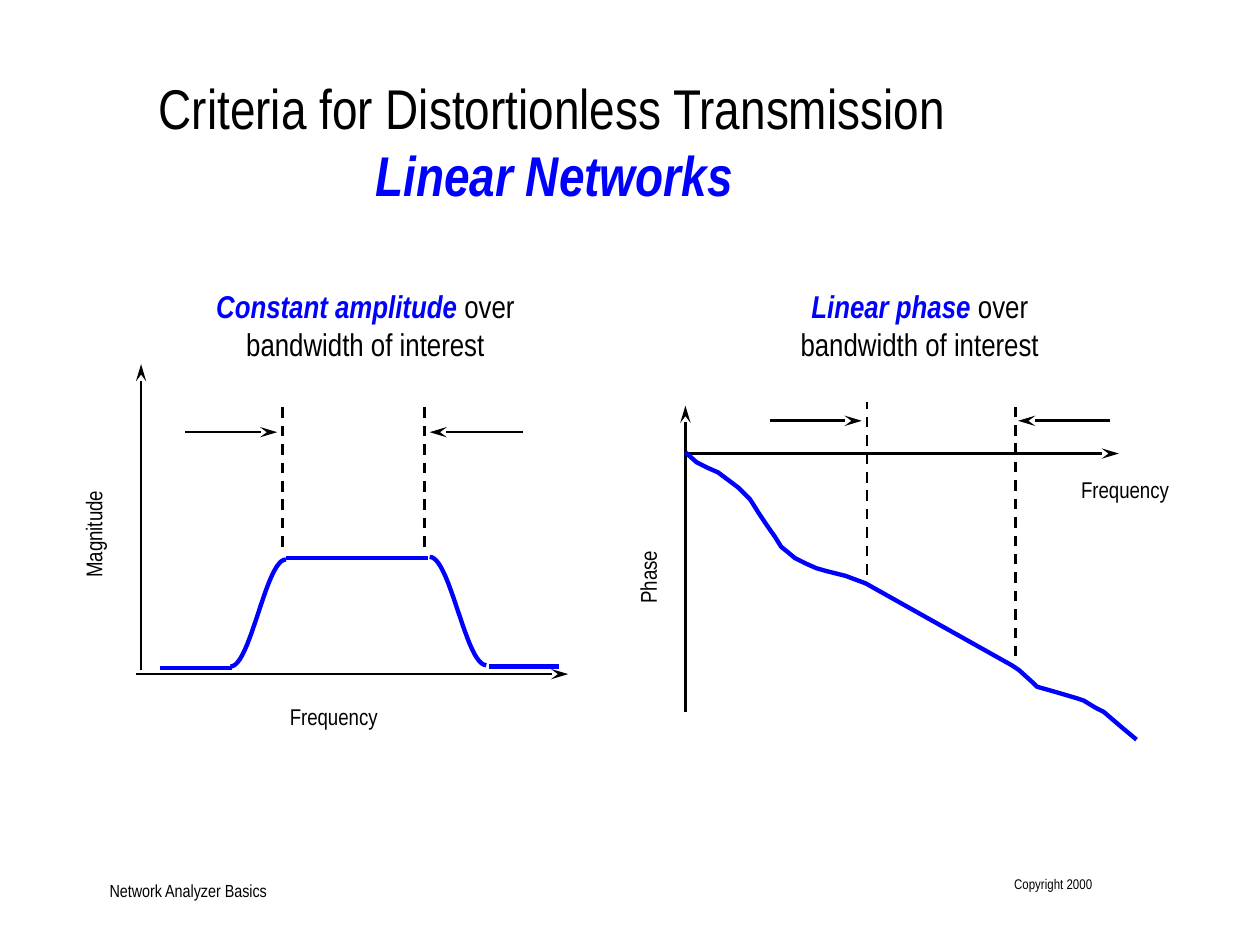
from math import cos, pi

from lxml.etree import SubElement
from pptx import Presentation
from pptx.dml.color import RGBColor
from pptx.enum.dml import MSO_LINE
from pptx.enum.shapes import MSO_CONNECTOR
from pptx.enum.text import MSO_ANCHOR, MSO_AUTO_SIZE, PP_ALIGN
from pptx.oxml.ns import qn
from pptx.util import Inches, Pt

BLACK = RGBColor(0, 0, 0)
BLUE = RGBColor(0, 0, 255)
FONT = "Arial Narrow"
PHASE_POINTS = [
    (0, 1.31), (0.09, 1.39), (0.17, 1.43), (0.26, 1.47), (0.34, 1.53), (0.42, 1.59),
    (0.51, 1.68), (0.53, 1.71), (0.58, 1.79), (0.64, 1.88), (0.71, 1.98), (0.76, 2.06),
    (0.81, 2.1), (0.87, 2.15), (0.95, 2.19), (1.04, 2.23), (1.11, 2.25), (1.27, 2.29),
    (1.43, 2.35), (2.59, 3), (2.65, 3.04), (2.76, 3.14), (2.79, 3.17), (2.93, 3.21),
    (3.1, 3.26), (3.16, 3.28), (3.26, 3.34), (3.32, 3.37), (3.46, 3.49), (3.58, 3.59),
]


def style_run(run, size, color=BLACK, emphasis=False):
    """Set the font of a run; emphasis means bold italic."""
    run.font.name, run.font.size = FONT, Pt(size)
    run.font.color.rgb = color
    run.font.bold = run.font.italic = emphasis


def clear_frame(frame, anchor):
    """Remove the margins of a text frame and set its wrapping and anchor."""
    frame.margin_left = frame.margin_right = frame.margin_top = frame.margin_bottom = 0
    frame.word_wrap, frame.auto_size = True, MSO_AUTO_SIZE.NONE
    frame.vertical_anchor = anchor


def add_text(page, left, top, width, height, spans, size,
             align=PP_ALIGN.LEFT, anchor=MSO_ANCHOR.TOP, rotation=0):
    """Add a one-paragraph text box from (text, color, emphasis) spans."""
    box = page.shapes.add_textbox(Inches(left), Inches(top), Inches(width), Inches(height))
    box.rotation = rotation
    clear_frame(box.text_frame, anchor)
    paragraph = box.text_frame.paragraphs[0]
    paragraph.alignment = align
    for text, color, emphasis in spans:
        span = paragraph.add_run()
        span.text = text
        style_run(span, size, color, emphasis)


def add_line(page, left, top, start, end, color=BLACK, width=1.5, dashed=False, arrow=False):
    """Add a straight line between two points measured from the box corner."""
    line = page.shapes.add_connector(
        MSO_CONNECTOR.STRAIGHT, Inches(left + start[0]), Inches(top + start[1]),
        Inches(left + end[0]), Inches(top + end[1]))
    line.line.color.rgb, line.line.width = color, Pt(width)
    if dashed:
        line.line.dash_style = MSO_LINE.DASH
    if arrow:
        SubElement(line.line._get_or_add_ln(), qn("a:tailEnd"), type="stealth", w="med", len="lg")
    SubElement(line._element.spPr, qn("a:effectLst"))


def add_curve(page, left, top, points):
    """Add an open blue curve through points measured from the box corner."""
    corners = [(Inches(x), Inches(y)) for x, y in points]
    builder = page.shapes.build_freeform(*corners[0])
    builder.add_line_segments(corners[1:], close=False)
    curve = builder.convert_to_shape(Inches(left), Inches(top))
    curve.fill.background()
    curve.line.color.rgb, curve.line.width = BLUE, Pt(2.5)
    curve.shadow.inherit = False


def half_wave(start, end, steps=24):
    """Return the points of a half cosine from start to end."""
    (x1, y1), (x2, y2) = start, end
    return [(x1 + (x2 - x1) * i / steps, y1 + (y2 - y1) * (1 - cos(pi * i / steps)) / 2)
            for i in range(steps + 1)]


def add_heading(page, left, top, width, emphasized):
    """Add the two-line heading above a plot."""
    spans = [(emphasized, BLUE, True), (" over bandwidth of interest", BLACK, False)]
    add_text(page, left, top, width, 0.6, spans, 18, PP_ALIGN.CENTER, MSO_ANCHOR.BOTTOM)


def add_axis_names(page, left, top, vertical_name, vertical_at, frequency_at):
    """Add the rotated vertical axis name and the frequency axis name."""
    add_text(page, left + vertical_at[0], top + vertical_at[1], 2.1, 0.24,
             [(vertical_name, BLACK, False)], 13, PP_ALIGN.CENTER, MSO_ANCHOR.BOTTOM, 270)
    add_text(page, left + frequency_at[0], top + frequency_at[1], 0.97, 0.24,
             [("Frequency", BLACK, False)], 13)


def add_band(page, left, top, limits, arrow_y, arrows):
    """Mark the bandwidth with dashed limits and two inward arrows."""
    for x, upper, lower in limits:
        add_line(page, left, top, (x, lower), (x, upper), dashed=True)
    for start, end in arrows:
        add_line(page, left, top, (start, arrow_y), (end, arrow_y), arrow=True)


def add_magnitude_plot(page, left, top):
    """Draw the constant amplitude plot."""
    add_heading(page, left + 0.19, top, 3.18, "Constant amplitude")
    add_line(page, left, top, (0, 3.04), (0, 0.61), arrow=True)
    add_line(page, left, top, (-0.04, 3.07), (3.39, 3.07), arrow=True)
    add_axis_names(page, left, top, "Magnitude", (-1.44, 1.84), (1.18, 3.3))
    add_band(page, left, top, [(1.12, 0.95, 2.06), (2.25, 0.95, 2.06)], 1.15,
             [(0.35, 1.08), (3.03, 2.29)])
    for start, end, y in [(0.15, 0.72, 3.02), (1.15, 2.28, 2.15), (2.76, 3.32, 3.01)]:
        add_line(page, left, top, (start, y), (end, y), BLUE, 2.5)
    add_curve(page, left, top, half_wave((0.71, 3.01), (1.15, 2.16)))
    add_curve(page, left, top, half_wave((2.29, 2.14), (2.74, 3)))


def add_phase_plot(page, left, top):
    """Draw the linear phase plot."""
    add_heading(page, left + 0.71, top, 2.3, "Linear phase")
    add_line(page, left, top, (0, 3.37), (0, 0.94), arrow=True)
    add_line(page, left, top, (0, 1.32), (3.44, 1.32), arrow=True)
    add_axis_names(page, left, top, "Phase", (-1.36, 2.18), (3.14, 1.5))
    add_band(page, left, top, [(1.44, 0.91, 2.28), (2.62, 0.92, 2.93)], 1.06,
             [(0.67, 1.4), (3.37, 2.64)])
    add_curve(page, left, top, PHASE_POINTS)


def add_title(page, left, top, width, height):
    """Place and format the two-line title."""
    title = page.shapes.title
    title.left, title.top = Inches(left), Inches(top)
    title.width, title.height = Inches(width), Inches(height)
    frame = title.text_frame
    clear_frame(frame, MSO_ANCHOR.TOP)
    frame.text = "Criteria for Distortionless Transmission\nLinear Networks"
    for paragraph, color, emphasis in zip(frame.paragraphs, (BLACK, BLUE), (False, True)):
        paragraph.alignment = PP_ALIGN.LEFT
        style_run(paragraph.runs[0], 32, color, emphasis)
    frame.paragraphs[1]._p.get_or_add_pPr().set("marL", str(Inches(1.72)))


def add_footer(page, left, top):
    """Add the course name and the copyright line."""
    add_text(page, left, top + 0.02, 2.67, 0.18, [("Network Analyzer Basics", BLACK, False)],
             10, anchor=MSO_ANCHOR.BOTTOM)
    add_text(page, left + 7.16, top, 0.64, 0.25, [("Copyright 2000", BLACK, False)],
             8, PP_ALIGN.RIGHT)


def main():
    """Build the slide and save it."""
    deck = Presentation()
    deck.slide_width, deck.slide_height = Inches(10), Inches(7.5)
    page = deck.slides.add_slide(deck.slide_layouts[5])
    add_title(page, 1.26, 0.58, 9.38, 1.05)
    add_magnitude_plot(page, 1.12, 2.28)
    add_phase_plot(page, 5.44, 2.28)
    add_footer(page, 0.87, 6.95)
    deck.save("out.pptx")


if __name__ == "__main__":
    main()
